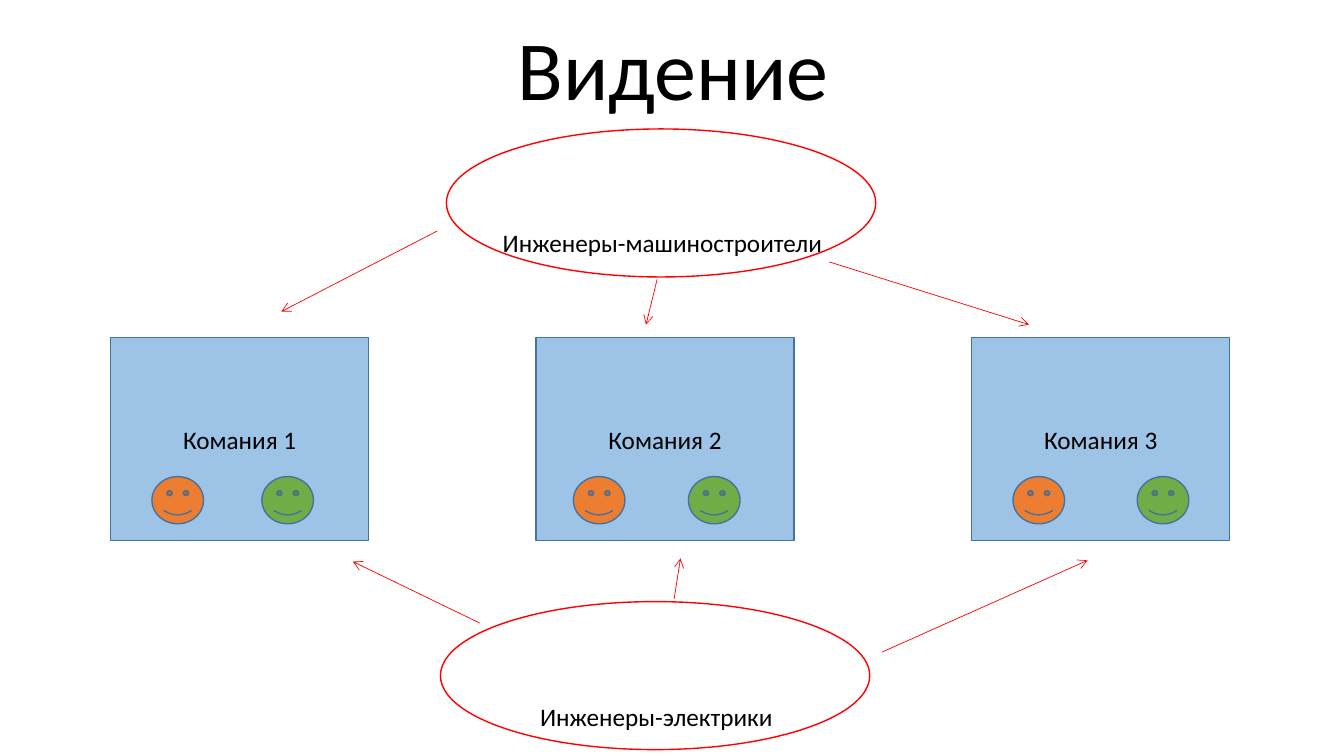
from pptx import Presentation
from pptx.dml.color import RGBColor as Rgb
from pptx.enum.shapes import MSO_CONNECTOR as Link, MSO_SHAPE as Form
from pptx.enum.text import MSO_ANCHOR as Anchor, MSO_AUTO_SIZE as Auto, PP_ALIGN as Align
from pptx.oxml.ns import qn
from pptx.util import Cm, Pt
from lxml.etree import SubElement as Sub

HUES = {"ink": "000000", "box": "9DC3E6", "edge": "43739E",
        "orange": "ED7D31", "green": "70AD47", "red": "FF0000"}
FACE = (1.3, 1.19)
FACE_TOP = 3.5

# Left, name, face offsets within the box
TEAMS = [(2.79, "Комания 1", (1.04, 3.81)),
         (13.51, "Комания 2", (0.94, 3.84)),
         (24.49, "Комания 3", (1.04, 4.17))]

# Oval corner, label, label box and arrows (from, to) within the oval's box
GROUPS = [
    ((11.1, 15.16), "Инженеры-электрики", (2.26, 2.39, 6.4, 1.02),
     [(0.99, 0.54, -2.21, -1.01), (5.89, -0.07, 6.05, -1.09),
      (11.13, 1.27, 16.31, -1.04)]),
    ((11.25, 3.25), "Инженеры-машиностроители", (1.17, 2.36, 8.66, 1.02),
     [(-0.23, 2.57, -4.16, 4.6), (5.31, 3.79, 5.03, 4.93),
      (9.65, 3.35, 14.68, 4.93)]),
]


def tint(name):
    """Return the colour with this name."""
    return Rgb.from_string(HUES[name])


def apply(item, form):
    """Set each attribute in form on item."""
    for key, val in form.items():
        setattr(item, key, val)


def write(shape, text, size=18, align=Align.CENTER, **frame):
    """Put one line of text in a shape."""
    apply(shape.text_frame, frame)
    para = shape.text_frame.paragraphs[0]
    para.alignment = align
    run = para.add_run()
    run.text = text
    apply(run.font, {"name": "Calibri", "size": Pt(size)})
    run.font.color.rgb = tint("ink")
    return para


def draw(slide, form, box, line, fill=None):
    """Add a preset shape, hollow when it has no fill."""
    shape = slide.shapes.add_shape(form, *map(Cm, box))
    shape.shadow.inherit = False
    if fill:
        shape.fill.solid()
        shape.fill.fore_color.rgb = tint(fill)
    else:
        shape.fill.background()
    shape.line.color.rgb = tint(line)
    shape.line.width = Pt(1)
    return shape


def arrow(slide, ends):
    """Add a thin red arrow from one point to another."""
    link = slide.shapes.add_connector(Link.STRAIGHT, *map(Cm, ends))
    link.line.color.rgb = tint("red")
    link.line.width = Pt(0.5)
    Sub(link.line._get_or_add_ln(), qn("a:tailEnd"), type="arrow")
    Sub(link._element.spPr, qn("a:effectLst"))


def title(slide, box):
    """Add the heading."""
    area = slide.shapes.add_textbox(*map(Cm, box))
    para = write(area, "Видение", 60, word_wrap=True,
                 vertical_anchor=Anchor.MIDDLE)
    para.line_spacing = 0.9


def team(slide, box, name, spots):
    """Add a team box with its two faces."""
    left, top = box[:2]
    shape = draw(slide, Form.RECTANGLE, box, "edge", "box")
    write(shape, name, vertical_anchor=Anchor.MIDDLE)
    for step, fill in zip(spots, ("orange", "green")):
        spot = (left + step, top + FACE_TOP, *FACE)
        draw(slide, Form.SMILEY_FACE, spot, "edge", fill)


def group(slide, box, name, tag, links):
    """Add an oval of engineers with its label and arrows."""
    left, top = box[:2]
    x, y, wide, high = tag
    area = slide.shapes.add_textbox(
        *map(Cm, (left + x, top + y, wide, high)))
    write(area, name, align=Align.LEFT, word_wrap=False,
          auto_size=Auto.SHAPE_TO_FIT_TEXT)
    draw(slide, Form.OVAL, box, "red")
    for x1, y1, x2, y2 in links:
        arrow(slide, (left + x1, top + y1, left + x2, top + y2))


def main():
    """Build and save the slide."""
    deck = Presentation()
    apply(deck, {"slide_width": Cm(33.87), "slide_height": Cm(19.05)})
    slide = deck.slides.add_slide(deck.slide_layouts[6])
    title(slide, (2.36, 0, 29.21, 3.68))
    for left, name, spots in TEAMS:
        team(slide, (left, 8.51, 6.5, 5.11), name, spots)
    for spot, name, tag, links in GROUPS:
        group(slide, (*spot, 10.82, 3.73), name, tag, links)
    deck.save("out.pptx")


main()
